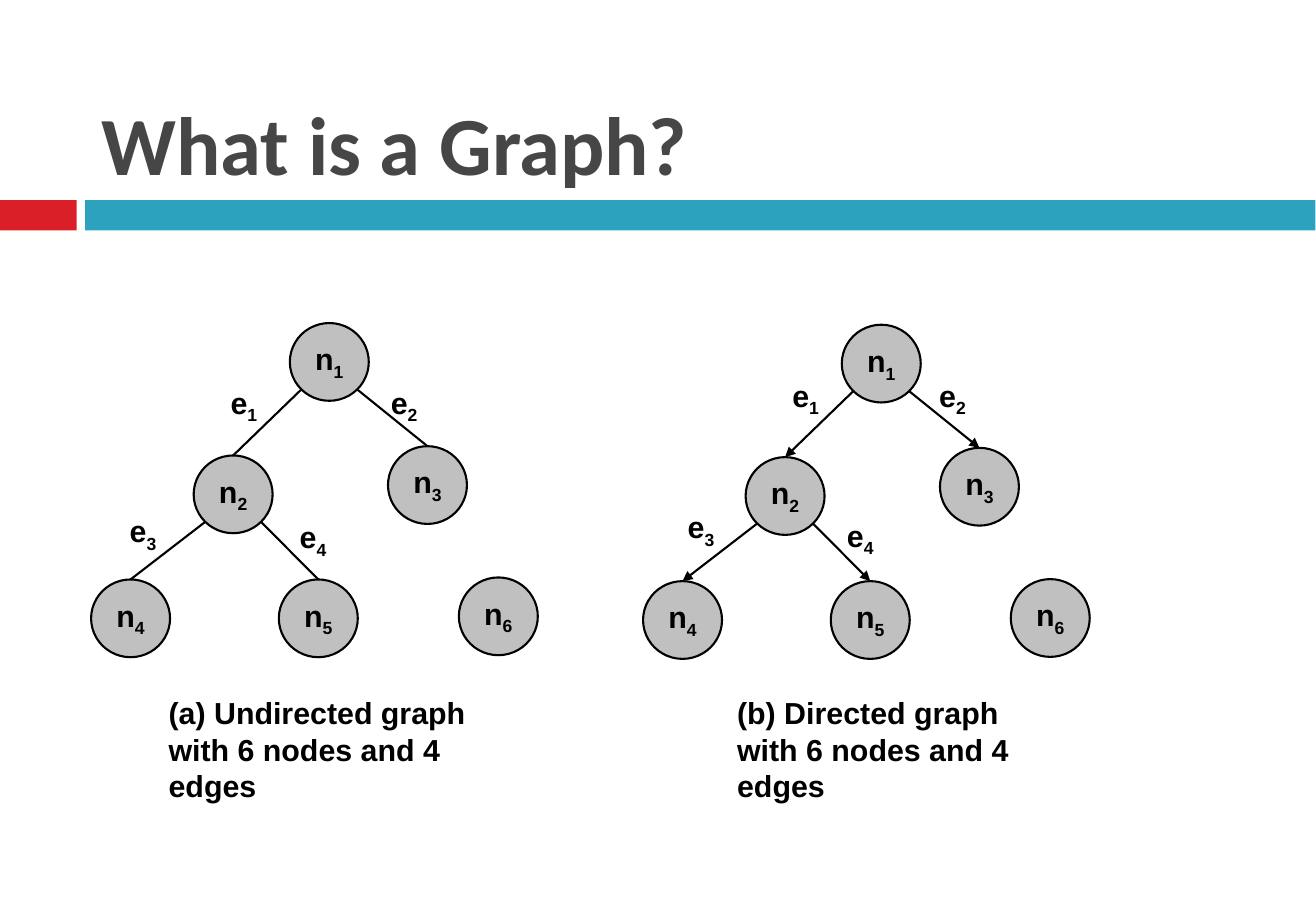
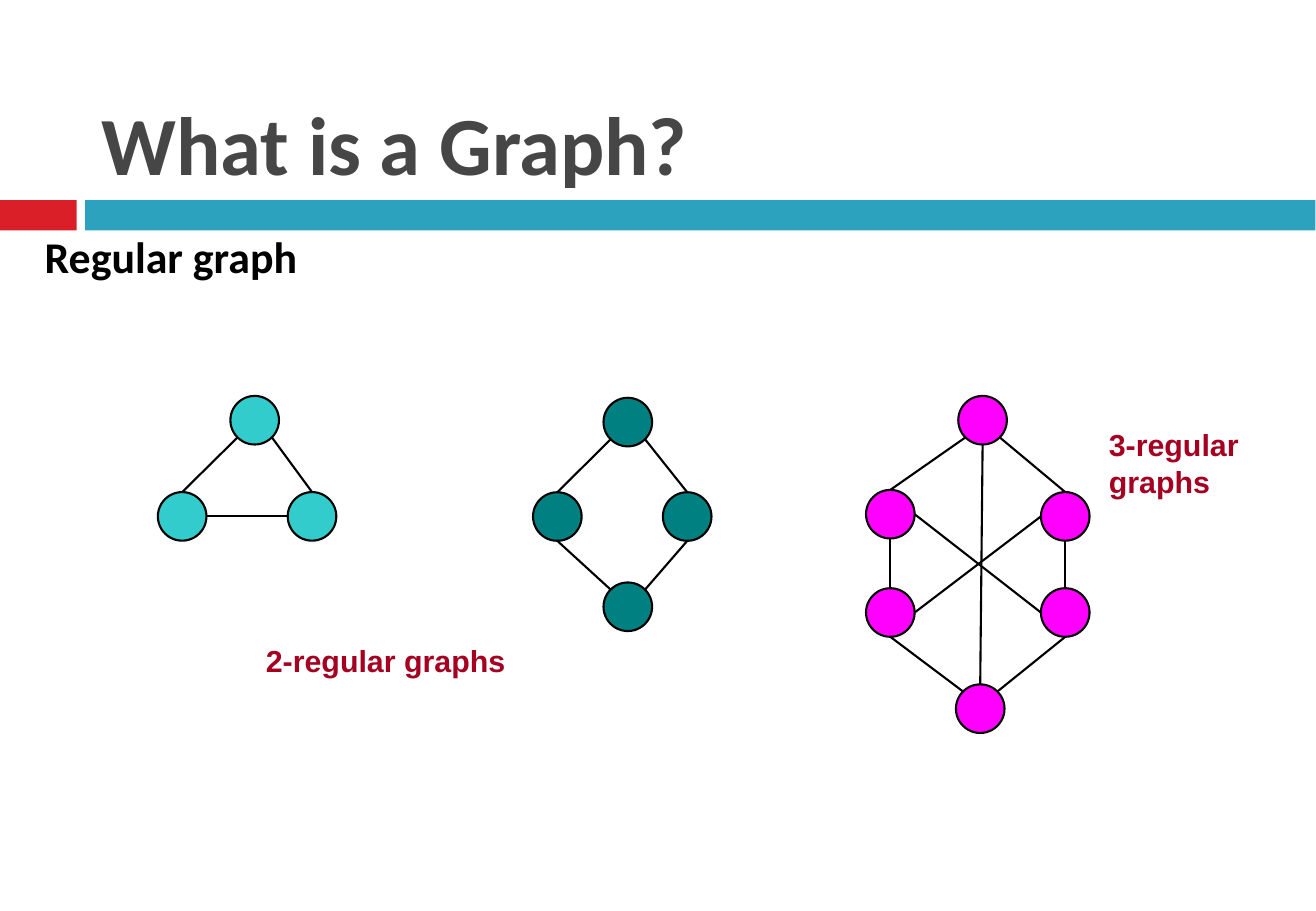
from dataclasses import dataclass

from lxml import etree
from pptx import Presentation
from pptx.dml.color import RGBColor
from pptx.enum.shapes import MSO_CONNECTOR, MSO_SHAPE
from pptx.enum.text import MSO_ANCHOR, PP_ALIGN
from pptx.oxml.ns import qn
from pptx.util import Pt

RECTANGLE, ELLIPSE = MSO_SHAPE.RECTANGLE, MSO_SHAPE.OVAL
STRAIGHT = MSO_CONNECTOR.STRAIGHT
TOP, BOTTOM = MSO_ANCHOR.TOP, MSO_ANCHOR.BOTTOM
LEFT, CENTER, JUSTIFY = PP_ALIGN.LEFT, PP_ALIGN.CENTER, PP_ALIGN.JUSTIFY


@dataclass(frozen=True)
class Theme:
    red: str = "DA1F28"
    blue: str = "2DA2BF"
    title: str = "464646"
    black: str = "000000"
    white: str = "FFFFFF"
    grey: str = "C0C0C0"
    turquoise: str = "33CCCC"
    teal: str = "008080"
    magenta: str = "FF00FF"
    crimson: str = "A50021"
    heading_font: str = "Calibri"
    body_font: str = "Arial"
    title_size: float = 49
    heading_size: float = 26
    body_size: float = 18
    line_width: float = 1.25


THEME = Theme()
SLIDE_WIDTH, SLIDE_HEIGHT = 780.13, 540
NODE_SIZE, DOT_SIZE, LABEL_SIZE = (46.8, 46.1), (28.8, 28.8), (39, 39.6)

SITE_POSITIONS = {
    "top": (0, 0, -1),
    "top_left": (1, -0.71, -0.71),
    "left": (2, -1, 0),
    "bottom_left": (3, -0.71, 0.71),
    "bottom": (4, 0, 1),
    "bottom_right": (5, 0.71, 0.71),
    "right": (6, 1, 0),
    "top_right": (7, 0.71, -0.71),
}

TREE_NODES = {
    "1": (117.8, 0),
    "2": (60.8, 78.5),
    "3": (176, 73),
    "4": (0, 152),
    "5": (111.3, 152),
    "6": (218, 150.8),
}
TREE_EDGES = [
    ("1", "bottom_left", "2", "top"),
    ("1", "bottom_right", "3", "top"),
    ("2", "bottom_left", "4", "top"),
    ("2", "bottom_right", "5", "top"),
]
UNDIRECTED_LABELS = {"1": (75.6, 32.4), "2": (170.6, 32.4), "3": (15.8, 108.7), "4": (116.6, 112.3)}
DIRECTED_LABELS = {"1": (81.4, 27.4), "2": (168.5, 27.4), "3": (19.4, 105.1), "4": (113.8, 110.2)}

ROOF_EDGES = [
    ("peak", "bottom_left", "left", "top"),
    ("peak", "bottom_right", "right", "top"),
]
TRIANGLE_NODES = {"peak": (43, 0), "left": (0, 57), "right": (77, 57)}
TRIANGLE_EDGES = ROOF_EDGES + [("left", "right", "right", "left")]
DIAMOND_NODES = {"peak": (41.8, 0), "left": (0, 56), "right": (77, 56), "base": (41.8, 109.5)}
DIAMOND_EDGES = ROOF_EDGES + [
    ("left", "bottom", "base", "top_left"),
    ("right", "bottom", "base", "top_right"),
]
HEXAGON_NODES = {
    "peak": (54.7, 0),
    "left": (0, 55.7),
    "right": (103.7, 57),
    "lower_left": (0, 114),
    "lower_right": (103.7, 114),
    "base": (53.3, 171),
}
HEXAGON_EDGES = ROOF_EDGES + [
    ("left", "bottom", "lower_left", "top"),
    ("right", "bottom", "lower_right", "top"),
    ("lower_left", "bottom", "base", "top_left"),
    ("lower_right", "bottom", "base", "top_right"),
    ("left", "right", "lower_right", "left"),
    ("right", "left", "lower_left", "right"),
    ("peak", "bottom", "base", "top"),
]


def color(value):
    return RGBColor.from_string(value)


def add_block(slide, kind, box, fill, line=None):
    shape = slide.shapes.add_shape(kind, *map(Pt, box))
    shape.shadow.inherit = False
    shape.fill.solid()
    shape.fill.fore_color.rgb = color(fill)
    if line:
        shape.line.color.rgb = color(line)
        shape.line.width = Pt(THEME.line_width)
    else:
        shape.line.fill.background()
    return shape


def write(shape, text, ink=THEME.black, size=THEME.body_size, font=THEME.body_font,
          align=LEFT, anchor=TOP, insets=(7.2, 3.6), subscript=None):
    frame = shape.text_frame
    frame.word_wrap = True
    frame.vertical_anchor = anchor
    frame.margin_left = frame.margin_right = Pt(insets[0])
    frame.margin_top = frame.margin_bottom = Pt(insets[1])
    paragraph = frame.paragraphs[0]
    paragraph.alignment = align
    for content, baseline in ((text, None), (subscript, "-25000")):
        if content:
            run = paragraph.add_run()
            run.text = content
            run.font.name = font
            run.font.size = Pt(size)
            run.font.bold = True
            run.font.color.rgb = color(ink)
            if baseline:
                run.font._element.set("baseline", baseline)


def add_heading(slide, box, text, **style):
    heading = slide.shapes.add_textbox(*map(Pt, box))
    write(heading, text, font=THEME.heading_font, insets=(8.5, 4.3), **style)


def add_caption(slide, box, text, ink=THEME.black, subscript=None):
    caption = add_block(slide, RECTANGLE, box, THEME.white, THEME.white)
    write(caption, text, ink=ink, subscript=subscript)


def site_point(node, site):
    _, across, down = SITE_POSITIONS[site]
    return (int(node.left + node.width * (1 + across) / 2),
            int(node.top + node.height * (1 + down) / 2))


def add_edge(slide, start, start_site, end, end_site, directed):
    edge = slide.shapes.add_connector(
        STRAIGHT, *site_point(start, start_site), *site_point(end, end_site))
    edge.line.color.rgb = color(THEME.black)
    edge.line.width = Pt(THEME.line_width)
    connection = edge._element.find(".//" + qn("p:cNvCxnSpPr"))
    for tag, node, site in (("a:stCxn", start, start_site), ("a:endCxn", end, end_site)):
        etree.SubElement(connection, qn(tag), id=str(node.shape_id),
                         idx=str(SITE_POSITIONS[site][0]))
    if directed:
        etree.SubElement(edge.line._get_or_add_ln(), qn("a:tailEnd"), type="triangle")
    etree.SubElement(edge._element.spPr, qn("a:effectLst"))


def add_graph(slide, origin, nodes, edges, size, fill, numbered=False, directed=False):
    left, top = origin
    circles = {}
    for name, (across, down) in nodes.items():
        circle = add_block(slide, ELLIPSE, (left + across, top + down, *size),
                           fill, THEME.black)
        if numbered:
            write(circle, "n", align=CENTER, subscript=name)
        circles[name] = circle
    for start, start_site, end, end_site in edges:
        add_edge(slide, circles[start], start_site, circles[end], end_site, directed)


def add_tree(slide, origin, labels, caption_box, caption, directed):
    left, top = origin
    for number, (across, down) in labels.items():
        add_caption(slide, (left + across, top + down, *LABEL_SIZE), "e", subscript=number)
    across, down, width, height = caption_box
    add_caption(slide, (left + across, top + down, width, height), caption)
    add_graph(slide, origin, TREE_NODES, TREE_EDGES, NODE_SIZE, THEME.grey,
              numbered=True, directed=directed)


def add_base_slide(presentation, title):
    slide = presentation.slides.add_slide(presentation.slide_layouts[6])
    add_block(slide, RECTANGLE, (0, 118.6, 45.5, 18), THEME.red)
    add_block(slide, RECTANGLE, (50.5, 118.6, 729.3, 18), THEME.blue)
    add_heading(slide, (51.8, 12.4, 695.5, 105.8), title, ink=THEME.title,
                size=THEME.title_size, anchor=BOTTOM)
    return slide


def build_tree_slide(presentation):
    slide = add_base_slide(presentation, "What is a Graph?")
    add_tree(slide, (54, 191.5), UNDIRECTED_LABELS, (38.9, 216.7, 220.3, 65.5),
             "(a) Undirected graph with 6 nodes and 4 edges", directed=False)
    add_tree(slide, (381.2, 192.5), DIRECTED_LABELS, (48.7, 215.7, 194.4, 65.5),
             "(b) Directed graph with 6 nodes and 4 edges", directed=True)


def build_regular_slide(presentation):
    slide = add_base_slide(presentation, "What is a Graph?")
    add_heading(slide, (18, 131.8, 743.8, 318.2), "Regular graph",
                size=THEME.heading_size, align=JUSTIFY)
    add_graph(slide, (93.6, 234.7), TRIANGLE_NODES, TRIANGLE_EDGES, DOT_SIZE, THEME.turquoise)
    add_graph(slide, (316, 235.8), DIAMOND_NODES, DIAMOND_EDGES, DOT_SIZE, THEME.teal)
    add_graph(slide, (513.4, 234.7), HEXAGON_NODES, HEXAGON_EDGES, DOT_SIZE, THEME.magenta)
    add_caption(slide, (150.5, 377.3, 185.8, 42.5), "2-regular graphs", THEME.crimson)
    add_caption(slide, (650.2, 249.1, 100.1, 71.3), "3-regular graphs", THEME.crimson)


def main():
    presentation = Presentation()
    presentation.slide_width = Pt(SLIDE_WIDTH)
    presentation.slide_height = Pt(SLIDE_HEIGHT)
    build_tree_slide(presentation)
    build_regular_slide(presentation)
    presentation.save("out.pptx")


if __name__ == "__main__":
    main()
